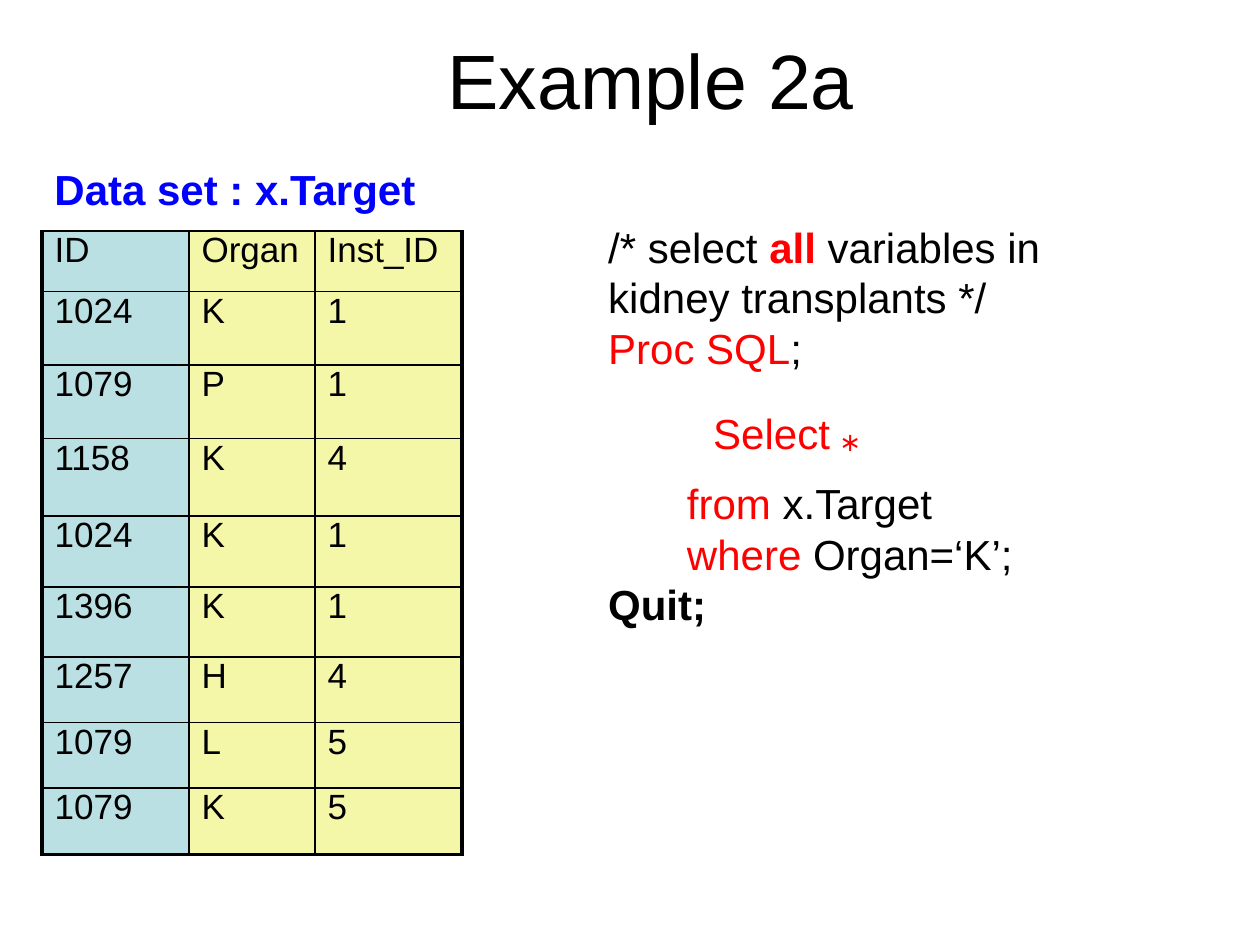
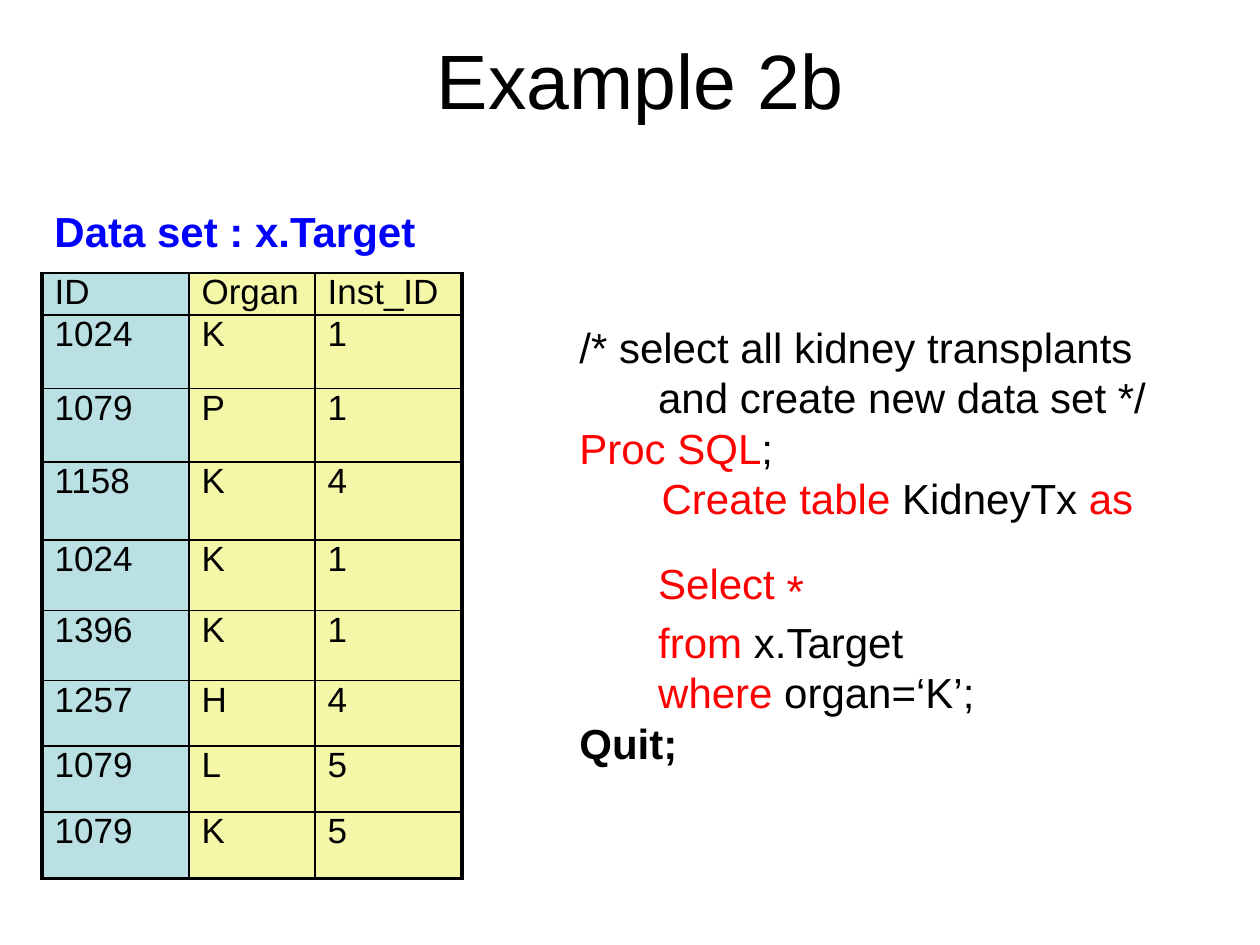
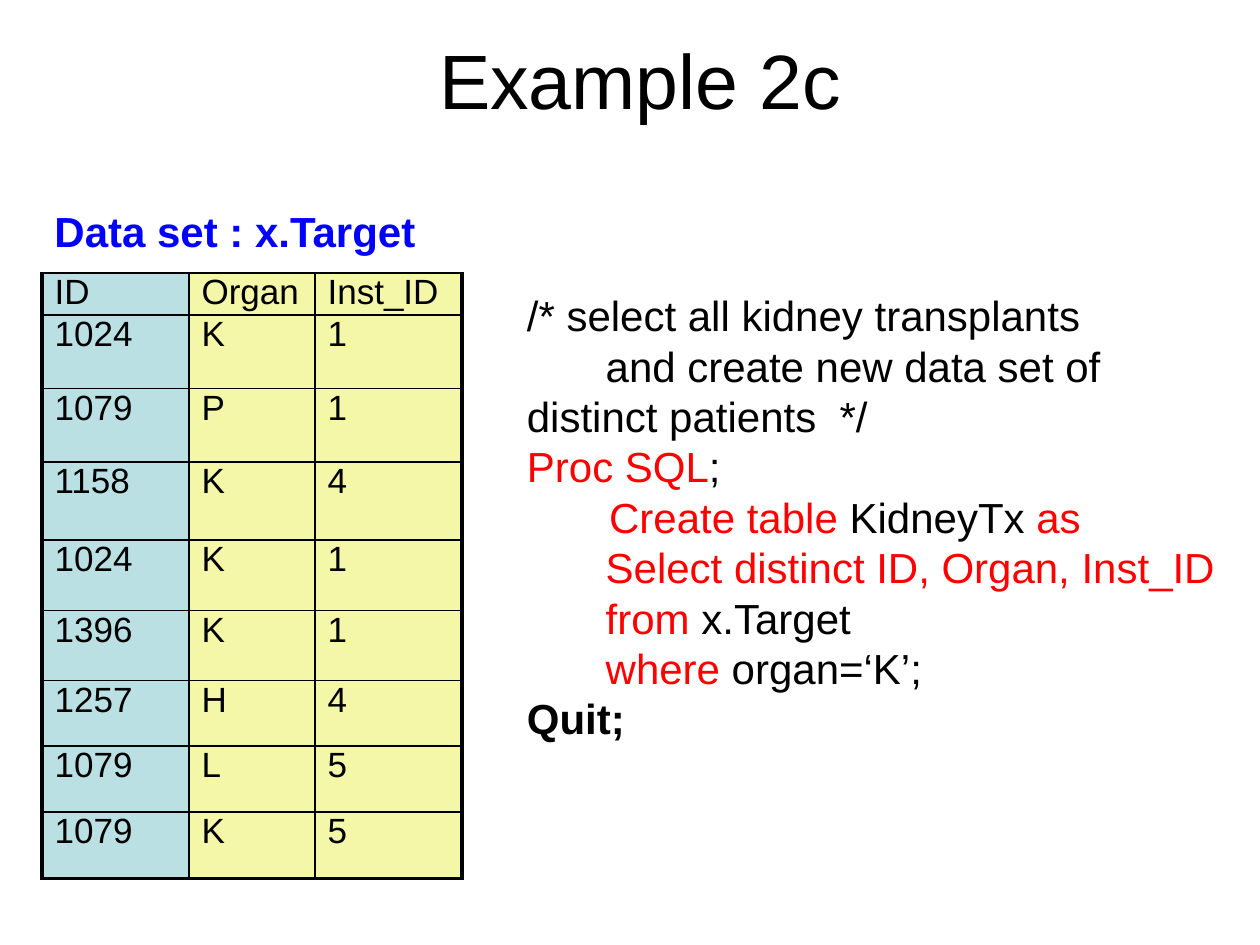
from dataclasses import dataclass
from typing import Any

import pptx
import pptx.dml.color
import pptx.enum.text
import pptx.oxml
import pptx.oxml.ns
import pptx.util
from pptx.util import Pt

ALIGN = pptx.enum.text.PP_ALIGN
ANCHOR = pptx.enum.text.MSO_ANCHOR


@dataclass(frozen=True)
class Theme:
    black: str = "000000"
    red: str = "FF0000"
    blue: str = "0000FF"
    teal: str = "BBE0E3"
    cream: str = "F4F6A8"
    font: str = "Arial"
    title: float = 44
    body: float = 24
    cell: float = 20
    star: float = 44
    thin: float = 1
    thick: float = 2.25


THEME = Theme()


@dataclass(frozen=True)
class Run:
    text: str
    color: str = ""
    bold: bool = False
    size: float = 0
    font: str = ""
    base: int = 0


@dataclass(frozen=True)
class Line:
    runs: tuple[Run, ...]
    indent: float = 0


@dataclass(frozen=True)
class Box:
    left: float
    top: float
    width: float
    height: float


@dataclass(frozen=True)
class Page:
    title: str
    shift: float
    label: float
    head: float
    code: Box
    lines: tuple[Line, ...]


def line(*runs: Run | str, indent: float = 0) -> Line:
    return Line(tuple(Run(r) if isinstance(r, str) else r for r in runs), indent)


def red(text: str, **style: Any) -> Run:
    return Run(text, color=THEME.red, **style)


def write(frame: Any, lines: tuple[Line, ...], *, size: float,
          color: str = THEME.black, bold: bool = False,
          align: Any = ALIGN.LEFT) -> None:
    """Fill a text frame; a run's own style wins over the shared format."""
    for i, item in enumerate(lines):
        para = frame.paragraphs[0] if i == 0 else frame.add_paragraph()
        para.alignment = align
        if item.indent:
            props = para._p.get_or_add_pPr()
            props.set("marL", "0")
            props.set("indent", str(Pt(item.indent)))
        for part in item.runs:
            run = para.add_run()
            run.text = part.text
            font = run.font
            font.name = part.font or THEME.font
            font.size = Pt(part.size or size)
            font.bold = part.bold or bold
            font.color.rgb = pptx.dml.color.RGBColor.from_string(part.color or color)
            if part.base:
                run._r.get_or_add_rPr().set("baseline", str(part.base * 1000))


def add_text(slide: Any, box: Box, lines: tuple[Line, ...], *, wrap: bool = True,
             anchor: Any = ANCHOR.TOP, **style: Any) -> None:
    shape = slide.shapes.add_textbox(
        Pt(box.left), Pt(box.top), Pt(box.width), Pt(box.height))
    frame = shape.text_frame
    frame.word_wrap = wrap
    frame.vertical_anchor = anchor
    write(frame, lines, **style)


def edge(cell: Any, widths: tuple[float, ...]) -> None:
    """Draw the left, right, top and bottom borders of a cell."""
    props = cell._tc.get_or_add_tcPr()
    for i, (side, width) in enumerate(zip("LRTB", widths)):
        props.insert(i, pptx.oxml.parse_xml(
            f'<a:ln{side} {pptx.oxml.ns.nsdecls("a")} w="{Pt(width)}"><a:solidFill>'
            f'<a:srgbClr val="{THEME.black}"/></a:solidFill></a:ln{side}>'))


DATA = (
    ("ID", "Organ", "Inst_ID"),
    ("1024", "K", "1"),
    ("1079", "P", "1"),
    ("1158", "K", "4"),
    ("1024", "K", "1"),
    ("1396", "K", "1"),
    ("1257", "H", "4"),
    ("1079", "L", "5"),
    ("1079", "K", "5"),
)
COLS = (84, 72, 84)
ROWS = (42, 42, 44.5, 40.5, 40, 37.5, 37.5, 38)
LEFT = 24


def add_data(slide: Any, top: float, head: float) -> None:
    rows = (head, *ROWS)
    shape = slide.shapes.add_table(
        len(rows), len(COLS), Pt(LEFT), Pt(top), Pt(sum(COLS)), Pt(sum(rows)))
    table = shape.table
    table.first_row = table.horz_banding = False
    for col, width in zip(table.columns, COLS):
        col.width = Pt(width)
    for r, height in enumerate(rows):
        table.rows[r].height = Pt(height)
        for c, text in enumerate(DATA[r]):
            cell = table.cell(r, c)
            cell.margin_left = cell.margin_right = Pt(7.2)
            cell.margin_top = cell.margin_bottom = 0
            cell.fill.solid()
            cell.fill.fore_color.rgb = pptx.dml.color.RGBColor.from_string(
                THEME.cream if c else THEME.teal)
            heavy = (c == 0, c == len(COLS) - 1, False, r == len(rows) - 1)
            edge(cell, tuple(THEME.thick if h else THEME.thin for h in heavy))
            write(cell.text_frame, (line(text),), size=THEME.cell)


TAB = 45
PROC = line(red("Proc SQL"), ";")
MAKE = line(red("Create table "), "KidneyTx ", red("as"), indent=47)
FROM = line(red("from "), "x.Target", indent=TAB)
QUIT = line(Run("Quit;", bold=True))
NOTE = line("/* select all kidney transplants")


def where(name: str) -> Line:
    return line(red("where"), f" {name}=‘K’;", indent=TAB)


def star(base: int, font: str = "") -> Run:
    return red("*", size=THEME.star, font=font, base=base)


PAGES = (
    Page("Example 2a", 48, 90, 34.5, Box(340.5, 123, 307.5, 278.5), (
        line("/* select ", red("all", bold=True),
             " variables in kidney transplants */"),
        PROC,
        line(red("Select "), star(-25, "Montserrat"), indent=60),
        FROM, where("Organ"), QUIT)),
    Page("Example 2b", 42, 114, 24, Box(324, 180, 378, 303), (
        NOTE,
        line("and create new data set */", indent=TAB),
        PROC, MAKE,
        line(red("Select "), star(-10), indent=TAB),
        FROM, where("organ"), QUIT)),
    Page("Example 2c", 42, 114, 24, Box(294, 162, 420, 327), (
        NOTE,
        line("and create new data set of distinct patients  */", indent=TAB),
        PROC, MAKE,
        line(red("Select distinct ID, Organ, Inst_ID"), indent=TAB),
        FROM, where("organ"), QUIT)),
)


def build(deck: Any, page: Page) -> None:
    slide = deck.slides.add_slide(deck.slide_layouts[6])
    add_text(slide, Box(page.shift, 0, 648, 90), (line(page.title),),
             size=THEME.title, align=ALIGN.CENTER, anchor=ANCHOR.MIDDLE)
    add_data(slide, page.label + 42, page.head)
    add_text(slide, page.code, page.lines, size=THEME.body)
    add_text(slide, Box(LEFT, page.label, 223, 36.5), (line("Data set : x.Target"),),
             wrap=False, size=THEME.body, color=THEME.blue, bold=True)


def main() -> None:
    deck = pptx.Presentation()
    deck.slide_width, deck.slide_height = Pt(720), Pt(540)
    for page in PAGES:
        build(deck, page)
    deck.save("out.pptx")


if __name__ == "__main__":
    main()
